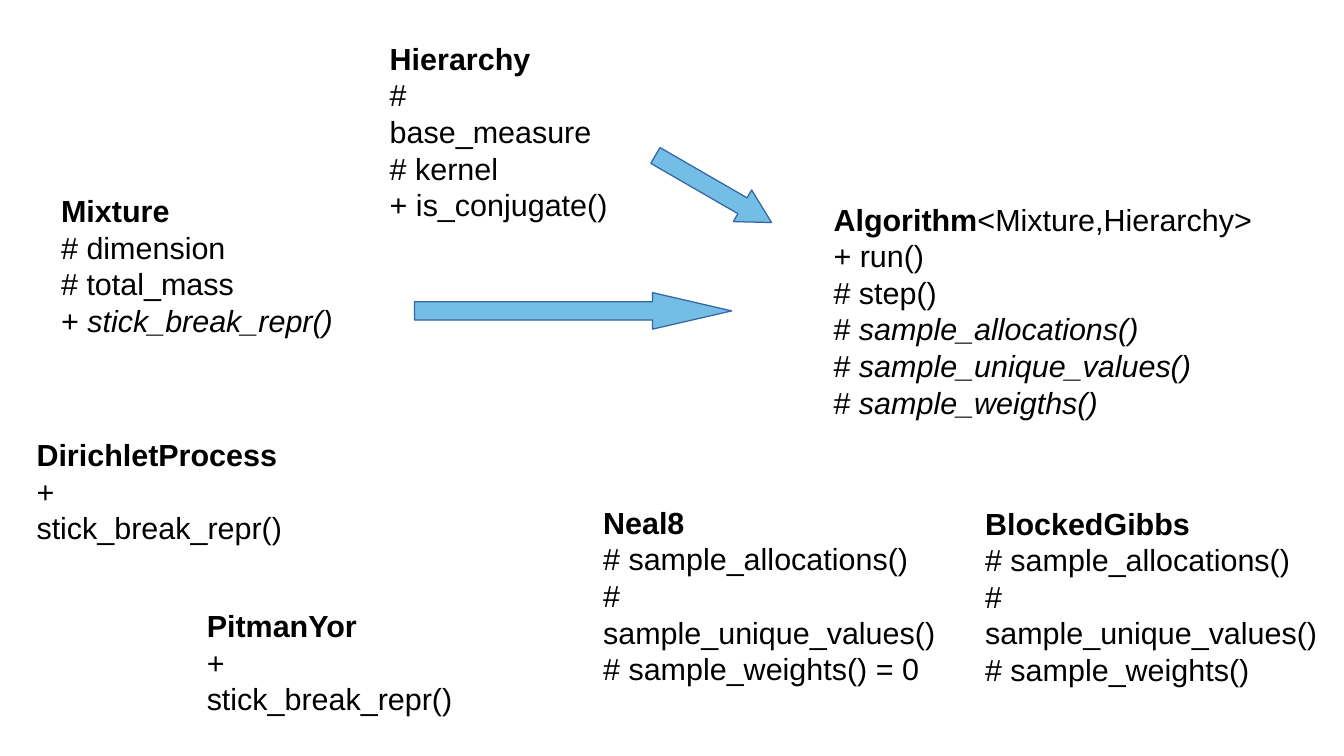
from dataclasses import dataclass

from pptx import Presentation
from pptx.dml.color import RGBColor
from pptx.enum.shapes import MSO_SHAPE
from pptx.util import Pt

ARROW = MSO_SHAPE.RIGHT_ARROW


@dataclass(frozen=True)
class Theme:
    """Hold the colours, font and sizes of the slide."""
    font: str = "Arial"
    size: float = 18
    ink: RGBColor = RGBColor(0, 0, 0)
    fill: RGBColor = RGBColor(0x74, 0xBD, 0xE4)
    edge: RGBColor = RGBColor(0x34, 0x65, 0xA4)
    line: float = 0.75


THEME = Theme()

# Each entry: box, name, type arguments, plain members, abstract members
CARDS = [
    ((29, 110, 209, 94), "Mixture", "",
     ["# dimension", "# total_mass"], ["+ stick_break_repr()"]),
    ((14.5, 254, 174, 48), "DirichletProcess", "",
     ["+ stick_break_repr()"], []),
    ((115, 355, 174, 48), "PitmanYor", "",
     ["+ stick_break_repr()"], []),
    ((223, 20, 147.5, 88), "Hierarchy", "",
     ["# base_measure", "# kernel", "+ is_conjugate()"], []),
    ((485, 115, 262, 128), "Algorithm", "<Mixture,Hierarchy>",
     ["+ run()", "# step()"],
     ["# sample_allocations()", "# sample_unique_values()",
      "# sample_weigths()"]),
    ((349, 294, 224.5, 88), "Neal8", "",
     ["# sample_allocations()", "# sample_unique_values()",
      "# sample_weights() = 0"], []),
    ((574.5, 294.5, 224.5, 88), "BlockedGibbs", "",
     ["# sample_allocations()", "# sample_unique_values()",
      "# sample_weights()"], []),
]

ARROWS = [
    ((381.6, 100.8, 79.2, 21.6), 30),
    ((244.8, 172.8, 187.2, 21.6), 0),
]


def add_run(para, text, bold=False, slant=False):
    """Add one styled run to a paragraph."""
    run = para.add_run()
    run.text = text
    font = run.font
    font.name, font.size = THEME.font, Pt(THEME.size)
    font.bold, font.italic = bold, slant
    font.color.rgb = THEME.ink


def add_card(slide, box, name, args, plain, virtual):
    """Place a class name and its members in the box."""
    frame = slide.shapes.add_textbox(*map(Pt, box)).text_frame
    frame.word_wrap = True
    head = frame.paragraphs[0]
    add_run(head, name, bold=True)
    if args:
        add_run(head, args)
    for text in plain:
        add_run(frame.add_paragraph(), text)
    for text in virtual:
        para = frame.add_paragraph()
        add_run(para, text[:2])
        add_run(para, text[2:], slant=True)


def add_arrow(slide, box, turn):
    """Place a block arrow whose head takes a quarter of the box."""
    arrow = slide.shapes.add_shape(ARROW, *map(Pt, box))
    arrow.adjustments[0] = 0.5
    arrow.adjustments[1] = box[2] / box[3] / 4
    arrow.rotation = turn
    arrow.shadow.inherit = False
    arrow.fill.solid()
    arrow.fill.fore_color.rgb = THEME.fill
    arrow.line.color.rgb = THEME.edge
    arrow.line.width = Pt(THEME.line)


def main():
    """Build the class overview slide and save it."""
    deck = Presentation()
    deck.slide_width, deck.slide_height = Pt(793.44), Pt(446.4)
    slide = deck.slides.add_slide(deck.slide_layouts[6])
    for card in CARDS:
        add_card(slide, *card)
    for box, turn in ARROWS:
        add_arrow(slide, box, turn)
    deck.save("out.pptx")


if __name__ == "__main__":
    main()
